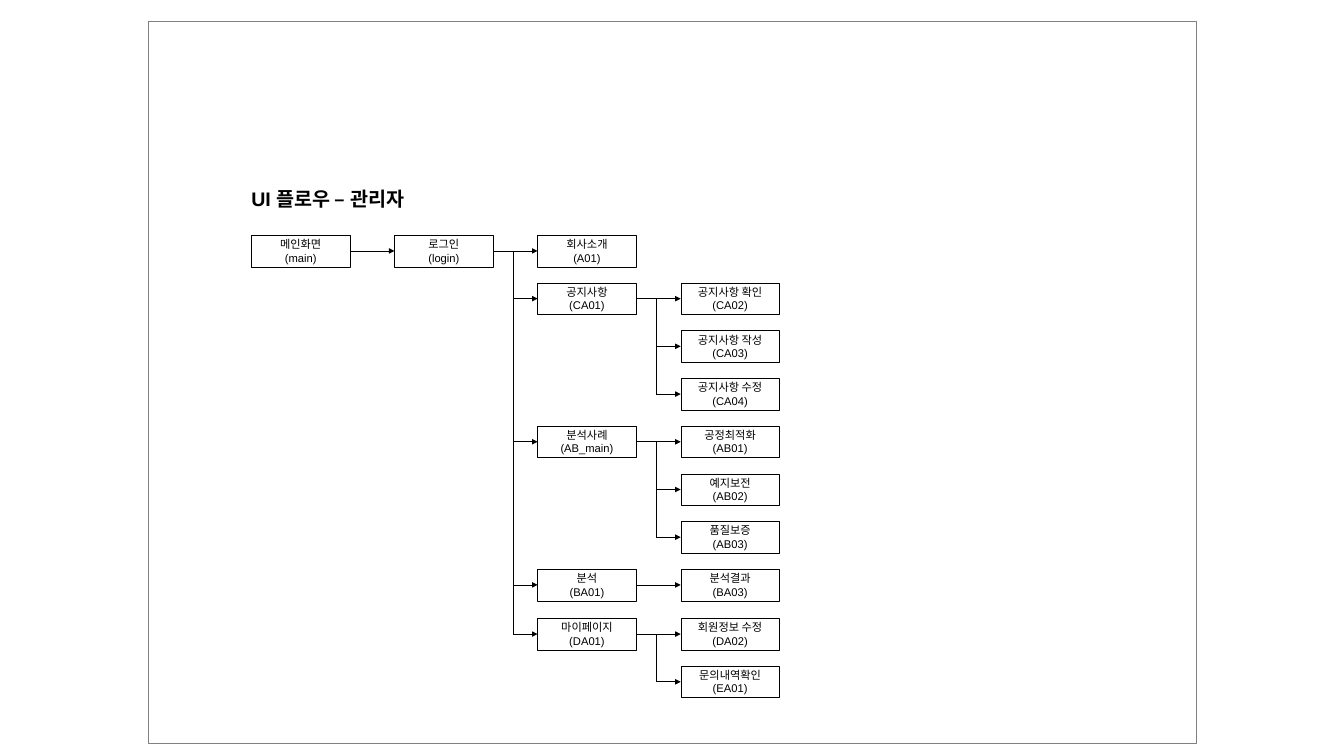
import dataclasses
import itertools

import pptx
import pptx.dml.color
import pptx.enum.shapes
import pptx.enum.text
import pptx.oxml.ns
import pptx.util
from lxml import etree

ALIGN = pptx.enum.text.PP_ALIGN
ANCHOR = pptx.enum.text.MSO_ANCHOR
RIGHT_SIDE, LEFT_SIDE = 3, 1


@dataclasses.dataclass(frozen=True)
class Theme:
    font: str = "Arial"
    ink: str = "000000"
    paper: str = "FFFFFF"
    frame: str = "808080"
    title_size: float = 21
    label_size: float = 12
    outline: float = 0.25
    arrow: float = 0.75


@dataclasses.dataclass(frozen=True)
class Grid:
    left: float = 3.74
    top: float = 3.5
    column: float = 2.13
    row: float = 0.71

    def x(self, column):
        return pptx.util.Inches(self.left + column * self.column)

    def y(self, row):
        return pptx.util.Inches(self.top + row * self.row)

    def box(self, column, row, columns, rows):
        return (self.x(column), self.y(row),
                pptx.util.Inches(columns * self.column), pptx.util.Inches(rows * self.row))


def rgb(code):
    return pptx.dml.color.RGBColor.from_string(code)


def write(text_frame, text, *, font, size, color, bold=False, align=ALIGN.LEFT, anchor=ANCHOR.TOP):
    text_frame.word_wrap = True
    text_frame.vertical_anchor = anchor
    text_frame.text = text
    for paragraph in text_frame.paragraphs:
        paragraph.alignment = align
        paragraph.font.name = font
        paragraph.font.size = pptx.util.Pt(size)
        paragraph.font.bold = bold
        paragraph.font.color.rgb = rgb(color)


class FlowChart:
    NODE_WIDTH = 0.69
    NODE_HEIGHT = 0.66
    TRUNK_GAP = 0.17

    def __init__(self, slide, theme, grid):
        self.slide, self.theme, self.grid = slide, theme, grid

    def title(self, text, column, row, columns, rows):
        heading = self.slide.shapes.title
        heading.left, heading.top, heading.width, heading.height = self.grid.box(column, row, columns, rows)
        heading.text_frame.margin_left = 0
        heading.text_frame.auto_size = pptx.enum.text.MSO_AUTO_SIZE.SHAPE_TO_FIT_TEXT
        write(heading.text_frame, text, font=self.theme.font, size=self.theme.title_size,
              color=self.theme.ink, bold=True)

    def rectangle(self, column, row, columns, rows, line, fill=None):
        shape = self.slide.shapes.add_shape(
            pptx.enum.shapes.MSO_SHAPE.RECTANGLE, *self.grid.box(column, row, columns, rows))
        shape.shadow.inherit = False
        if fill:
            shape.fill.solid()
            shape.fill.fore_color.rgb = rgb(fill)
        else:
            shape.fill.background()
        shape.line.color.rgb = rgb(line)
        shape.line.width = pptx.util.Pt(self.theme.outline)
        return shape

    def node(self, name, code, column, row):
        screen = self.rectangle(column, row, self.NODE_WIDTH, self.NODE_HEIGHT,
                                self.theme.ink, self.theme.paper)
        write(screen.text_frame, f"{name}\n({code})", font=self.theme.font, size=self.theme.label_size,
              color=self.theme.ink, align=ALIGN.CENTER, anchor=ANCHOR.MIDDLE)
        return screen

    def line(self, start, end, source=None, target=None):
        connector = self.slide.shapes.add_connector(
            pptx.enum.shapes.MSO_CONNECTOR.STRAIGHT, *start, *end)
        connector.line.color.rgb = rgb(self.theme.ink)
        connector.line.width = pptx.util.Pt(self.theme.arrow)
        if source:
            connector.begin_connect(source, RIGHT_SIDE)
        if target:
            connector.end_connect(target, LEFT_SIDE)
            head = etree.SubElement(connector.line._get_or_add_ln(), pptx.oxml.ns.qn("a:tailEnd"))
            head.set("type", "triangle")
        etree.SubElement(connector._element.spPr, pptx.oxml.ns.qn("a:effectLst"))

    def branch(self, parent, children, column):
        trunk = self.grid.x(column - self.TRUNK_GAP)
        middles = [child.top + child.height // 2 for child in children]
        self.line((parent.left + parent.width, middles[0]), (children[0].left, middles[0]),
                  parent, children[0])
        for upper, lower in itertools.pairwise(middles):
            self.line((trunk, upper), (trunk, lower))
        for child, middle in zip(children[1:], middles[1:]):
            self.line((trunk, middle), (child.left, middle), target=child)

    def tree(self, screen, column=0):
        name, code, row, followers = screen
        parent = self.node(name, code, column, row)
        children = [self.tree(follower, column + 1) for follower in followers]
        if children:
            self.branch(parent, children, column + 1)
        return parent


NOTICES = [
    ("공지사항 확인", "CA02", 1, []),
    ("공지사항 작성", "CA03", 2, []),
    ("공지사항 수정", "CA04", 3, []),
]
CASES = [
    ("공정최적화", "AB01", 4, []),
    ("예지보전", "AB02", 5, []),
    ("품질보증", "AB03", 6, []),
]
ACCOUNT = [
    ("회원정보 수정", "DA02", 8.03, []),
    ("문의내역확인", "EA01", 9.03, []),
]
MENU = [
    ("회사소개", "A01", 0, []),
    ("공지사항", "CA01", 1, NOTICES),
    ("분석사례", "AB_main", 4, CASES),
    ("분석", "BA01", 7, [("분석결과", "BA03", 7, [])]),
    ("마이페이지", "DA01", 8.03, ACCOUNT),
]
ADMIN_FLOW = ("메인화면", "main", 0, [("로그인", "login", 0, MENU)])


def main():
    presentation = pptx.Presentation()
    presentation.slide_width = pptx.util.Inches(20)
    presentation.slide_height = pptx.util.Inches(11.25)
    title_only = presentation.slide_layouts[5]
    theme = Theme()
    chart = FlowChart(presentation.slides.add_slide(title_only), theme, Grid())
    chart.rectangle(-0.72, -4.49, 7.32, 15.14, theme.frame)
    chart.title("UI 플로우 – 관리자", 0, -1.08, 1.5, 0.63)
    chart.tree(ADMIN_FLOW)
    presentation.save("out.pptx")


if __name__ == "__main__":
    main()
